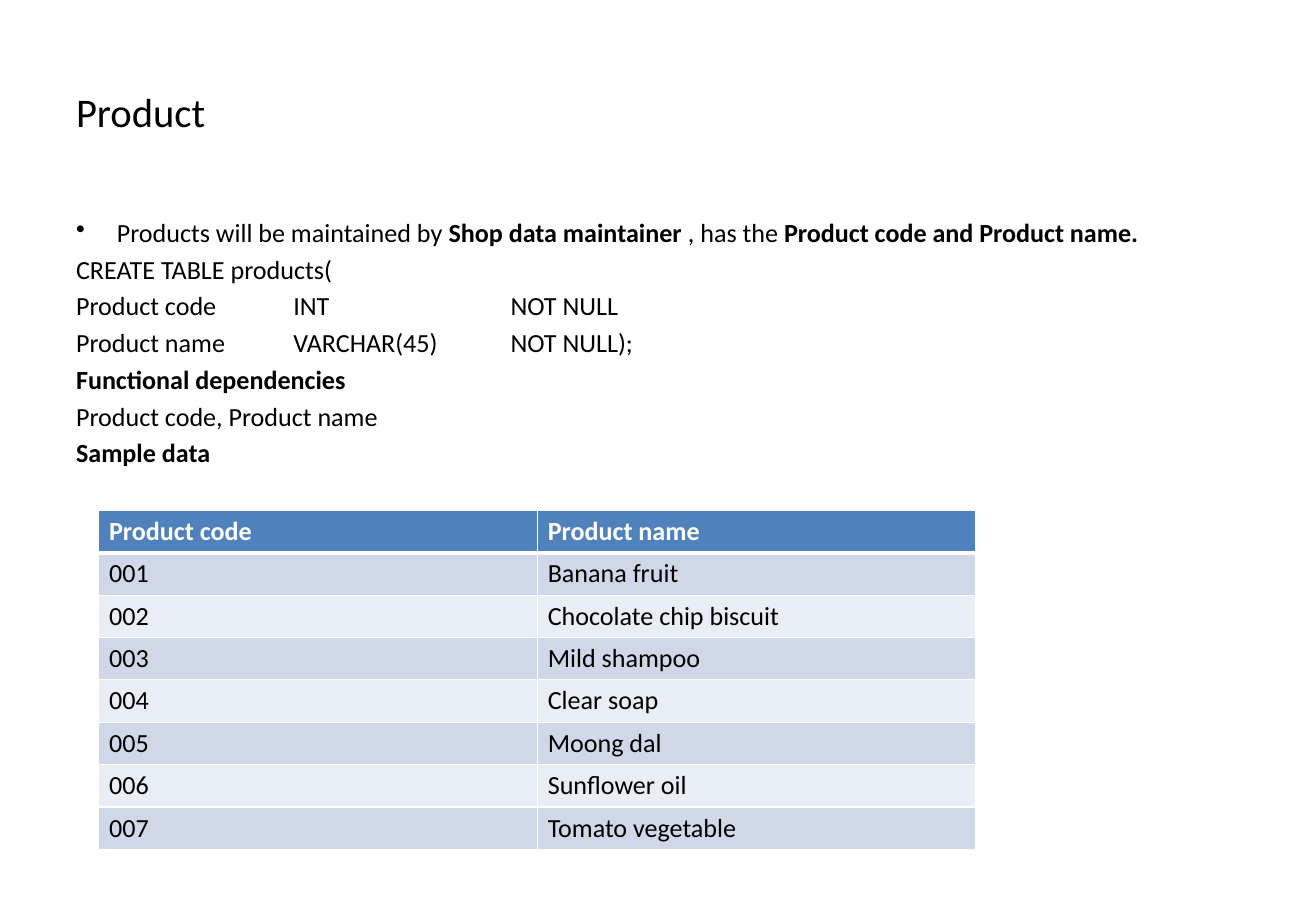
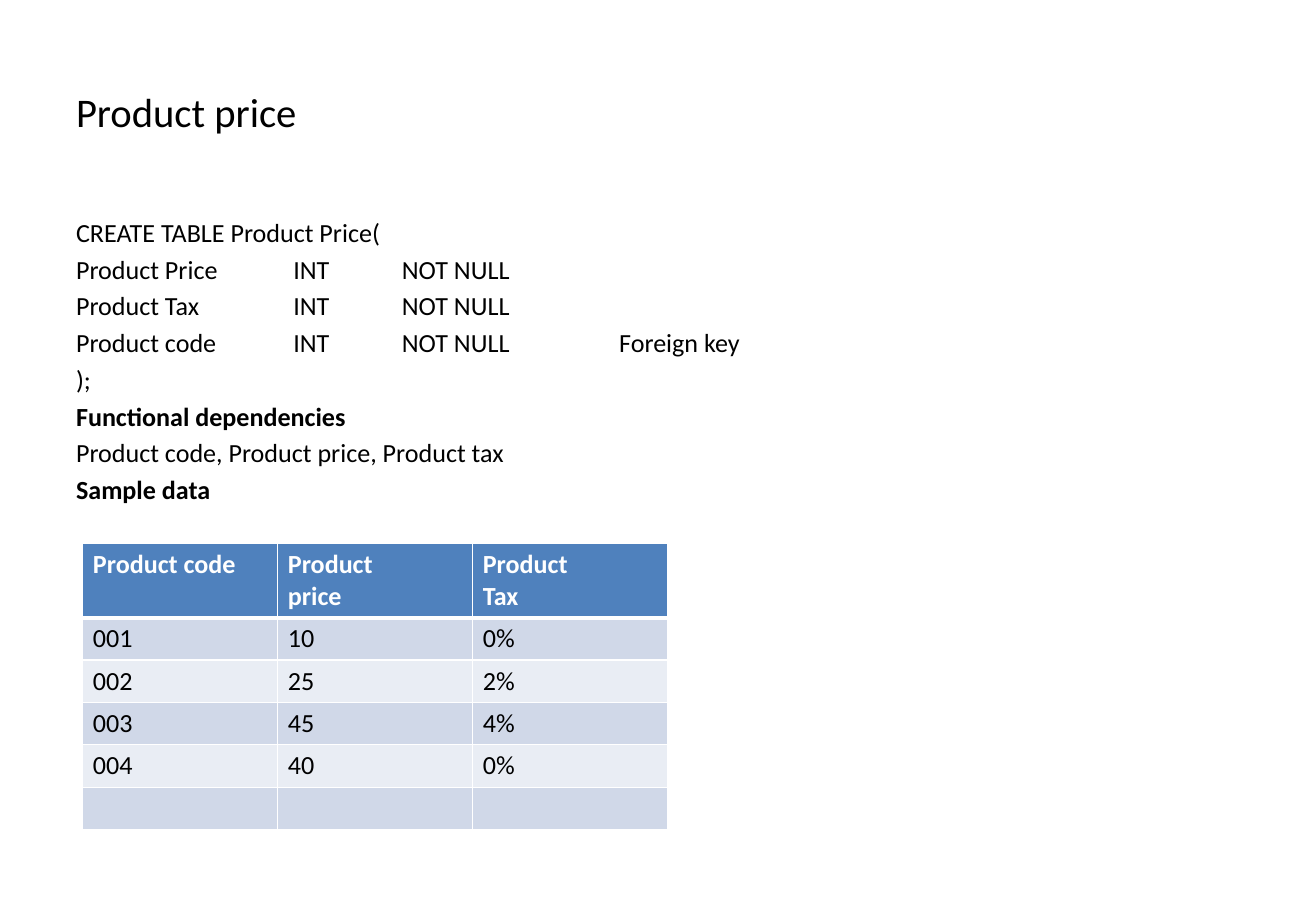
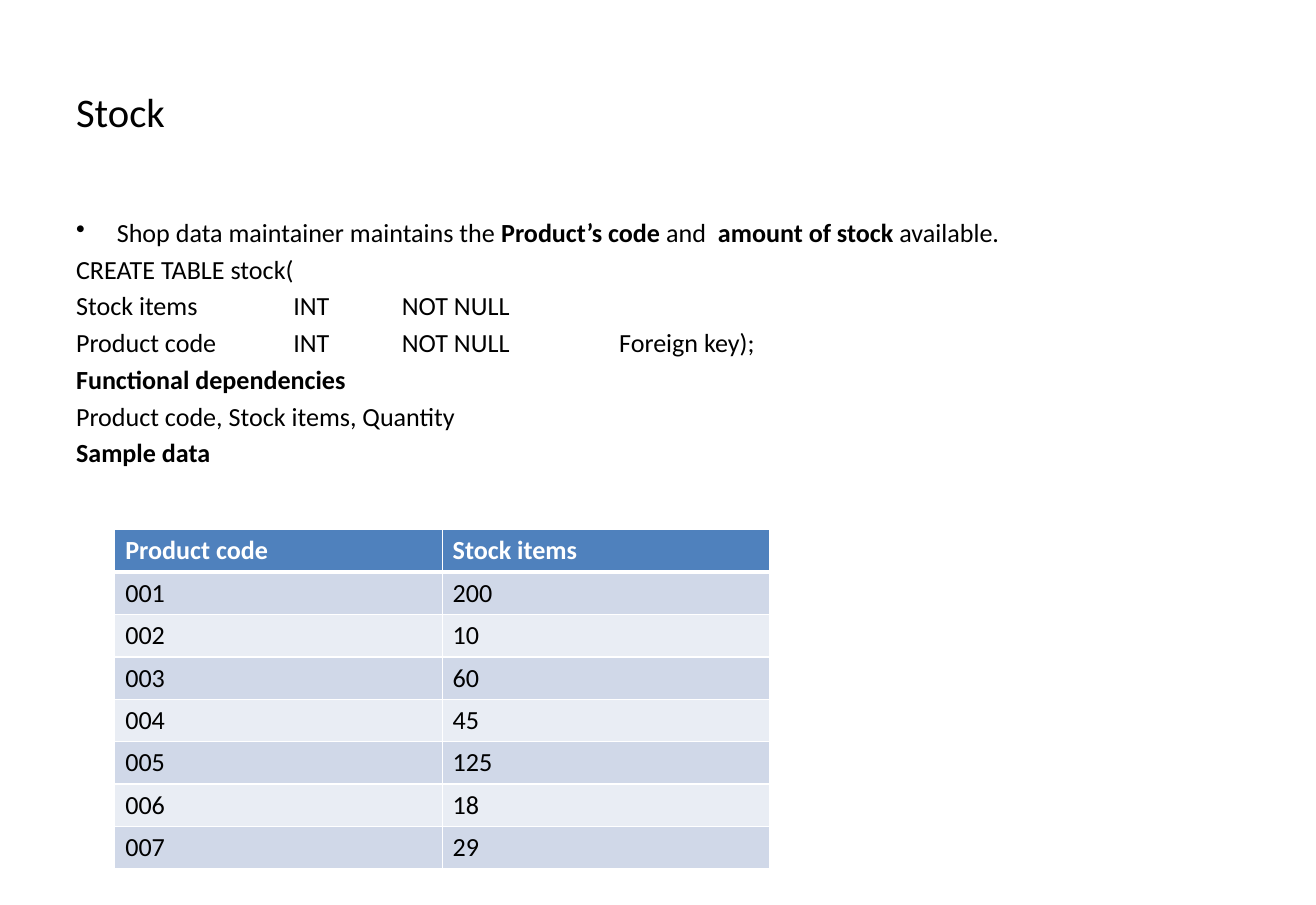
from lxml import etree
from pptx import Presentation
from pptx.dml.color import RGBColor
from pptx.enum.text import MSO_ANCHOR
from pptx.oxml.ns import qn
from pptx.util import Emu, Inches, Pt

MIDDLE, TOP = MSO_ANCHOR.MIDDLE, MSO_ANCHOR.TOP
BLACK = RGBColor(0x00, 0x00, 0x00)
WHITE = RGBColor(0xFF, 0xFF, 0xFF)
HEADER_BLUE = RGBColor(0x4F, 0x81, 0xBD)
BANDS = (RGBColor(0xD0, 0xD8, 0xE8), RGBColor(0xE9, 0xED, 0xF4))

# Custom page of 32 by 22 cm, as whole 1/576 inch units
SLIDE_WIDTH, SLIDE_HEIGHT = Emu(11522075), Emu(7921625)

FONT = "Calibri"
TITLE_SIZE, BODY_SIZE = Pt(28), Pt(18)
PARAGRAPH_GAP = Pt(3.7)
BULLET_INDENT = Inches(0.39)
TAB_WIDTH, TAB_COUNT = Inches(1.04), 5
CELL_PADDING, LINE_HEIGHT = Inches(0.1), Pt(22)
THIN, THICK = Pt(1), Pt(3)

# Areas as left, top, width, height in percent of the slide
TITLE_AREA = (5, 4, 90, 16.67)
BODY_AREA = (5, 23.33, 90, 66)


class Deck:
    """Holds the shared style and the current slide."""

    def __init__(self, width, height):
        """Start an empty presentation of the given size."""
        self.presentation = Presentation()
        self.presentation.slide_width = width
        self.presentation.slide_height = height
        self.slide = None

    def across(self, percent):
        """Return a share of the slide's width."""
        return round(self.presentation.slide_width * percent / 100)

    def down(self, percent):
        """Return a share of the slide's height."""
        return round(self.presentation.slide_height * percent / 100)

    def add_slide(self, title):
        """Add a blank slide with its title."""
        layout = self.presentation.slide_layouts[6]
        self.slide = self.presentation.slides.add_slide(layout)
        frame = self.text_box(TITLE_AREA, MIDDLE)
        frame.text = title
        self.style_runs(frame.paragraphs[0], TITLE_SIZE)

    def text_box(self, area, anchor):
        """Add a wrapping text box and return its text frame."""
        left, top, width, height = area
        shape = self.slide.shapes.add_textbox(
            self.across(left), self.down(top), self.across(width), self.down(height))
        frame = shape.text_frame
        frame.word_wrap = True
        frame.vertical_anchor = anchor
        return frame

    def style_runs(self, paragraph, size=BODY_SIZE, color=BLACK, bold=False):
        """Give every run of a paragraph the same font."""
        for run in paragraph.runs:
            run.font.name = FONT
            run.font.size = size
            run.font.color.rgb = color
            run.font.bold = bold

    def body(self, lines):
        """Write the body; * encloses bold words, a leading bullet is a list mark."""
        frame = self.text_box(BODY_AREA, TOP)
        for index, line in enumerate(lines):
            paragraph = frame.add_paragraph() if index else frame.paragraphs[0]
            paragraph.space_before = PARAGRAPH_GAP
            pieces = line.lstrip("•").split("*")
            for words in filter(None, pieces):
                paragraph.add_run().text = words
            self.style_runs(paragraph)
            for run in paragraph.runs:
                run.font.bold = run.text in pieces[1::2]
            if line.startswith("•"):
                self.bullet(paragraph)
            if "\t" in line:
                self.tab_stops(paragraph)

    def bullet(self, paragraph):
        """Turn a paragraph into a bulleted one with a hanging indent."""
        properties = paragraph._p.get_or_add_pPr()
        properties.set("marL", str(BULLET_INDENT))
        properties.set("indent", str(-BULLET_INDENT))
        etree.SubElement(properties, qn("a:buChar"), char="•")

    def tab_stops(self, paragraph):
        """Set evenly spaced tab stops."""
        stops = etree.SubElement(paragraph._p.get_or_add_pPr(), qn("a:tabLst"))
        for number in range(1, TAB_COUNT + 1):
            etree.SubElement(stops, qn("a:tab"), pos=str(number * TAB_WIDTH), algn="l")

    def table(self, left, top, width, rows):
        """Add a banded table with equal columns and a header row."""
        heights = [CELL_PADDING + LINE_HEIGHT * (1 + max(text.count("\n") for text in row))
                   for row in rows]
        table = self.slide.shapes.add_table(
            len(rows), len(rows[0]), self.across(left), self.down(top),
            self.across(width), sum(heights)).table
        for row_index, row in enumerate(rows):
            table.rows[row_index].height = heights[row_index]
            for column_index, text in enumerate(row):
                self.fill_cell(table.cell(row_index, column_index), text, row_index)

    def fill_cell(self, cell, text, row_index):
        """Write and colour one cell according to its row."""
        header = row_index == 0
        cell.text_frame.text = text
        for paragraph in cell.text_frame.paragraphs:
            self.style_runs(paragraph, color=WHITE if header else BLACK, bold=header)
        cell.fill.solid()
        cell.fill.fore_color.rgb = HEADER_BLUE if header else BANDS[(row_index - 1) % 2]
        widths = {"a:lnL": THIN, "a:lnR": THIN,
                  "a:lnT": THICK if row_index == 1 else THIN,
                  "a:lnB": THICK if header else THIN}
        properties = cell._tc.get_or_add_tcPr()
        for position, (tag, width) in enumerate(widths.items()):
            line = etree.Element(qn(tag), w=str(width))
            fill = etree.SubElement(line, qn("a:solidFill"))
            etree.SubElement(fill, qn("a:srgbClr"), val=str(WHITE))
            properties.insert(position, line)


def numbered(*columns):
    """Return table rows that start with a running product code."""
    return [(f"{number:03}", *values) for number, values in enumerate(zip(*columns), 1)]


def product_slide(deck):
    """Build the slide on the products table."""
    deck.add_slide("Product")
    deck.body([
        "•Products will be maintained by *Shop data maintainer *, has the "
        "*Product code and Product name.*",
        "CREATE TABLE products(",
        "Product code\tINT\t\tNOT NULL",
        "Product name\tVARCHAR(45)\tNOT NULL);",
        "*Functional dependencies*",
        "Product code, Product name",
        "*Sample data*",
    ])
    names = ("Banana fruit", "Chocolate chip biscuit", "Mild shampoo", "Clear soap",
             "Moong dal", "Sunflower oil", "Tomato vegetable")
    deck.table(7.5, 56.4, 66.67, [("Product code", "Product name")] + numbered(names))


def price_slide(deck):
    """Build the slide on the product price table."""
    deck.add_slide("Product price")
    deck.body([
        "CREATE TABLE Product Price(",
        "Product Price\tINT\tNOT NULL\t",
        "Product Tax\tINT\tNOT NULL",
        "Product code\tINT\tNOT NULL\t\tForeign key",
        ");",
        "*Functional dependencies*",
        "Product code, Product price, Product tax",
        "*Sample data*",
    ])
    header = ("Product code", "Product\nprice", "Product\nTax")
    prices, taxes = ("10", "25", "45", "40"), ("0%", "2%", "4%", "0%")
    deck.table(6.27, 60.05, 44.44, [header] + numbered(prices, taxes) + [("", "", "")])


def stock_slide(deck):
    """Build the slide on the stock table."""
    deck.add_slide("Stock")
    deck.body([
        "•Shop data maintainer maintains the *Product’s code *and * amount of stock *available.",
        "CREATE TABLE stock(",
        "Stock items\tINT\tNOT NULL",
        "Product code\tINT\tNOT NULL\t\tForeign key);",
        "*Functional dependencies*",
        "Product code, Stock items, Quantity",
        "*Sample data*",
    ])
    amounts = ("200", "10", "60", "45", "125", "18", "29")
    deck.table(8.73, 58.55, 49.76, [("Product code", "Stock items")] + numbered(amounts))


def main():
    """Build and save the presentation."""
    deck = Deck(SLIDE_WIDTH, SLIDE_HEIGHT)
    for build in (product_slide, price_slide, stock_slide):
        build(deck)
    deck.presentation.save("out.pptx")


main()
